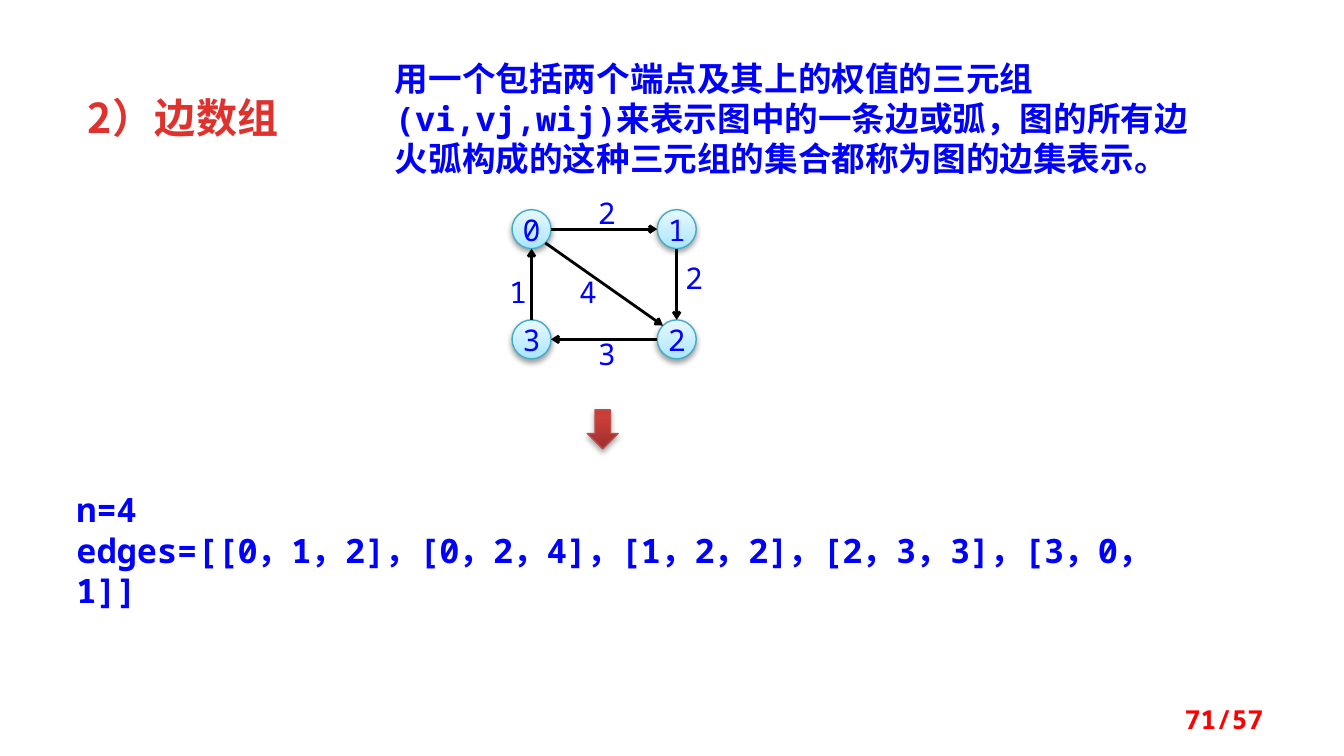
import math

import pptx
import pptx.dml.color
import pptx.enum.shapes
import pptx.enum.text
import pptx.oxml
import pptx.oxml.ns
import pptx.util

Inches, Pt = pptx.util.Inches, pptx.util.Pt
Shape = pptx.enum.shapes.MSO_SHAPE
Anchor = pptx.enum.text.MSO_ANCHOR
Align = pptx.enum.text.PP_ALIGN
NS = pptx.oxml.ns.nsdecls("a")

MONO, CJK = "Noto Sans Mono", "Noto Sans CJK SC"
BLUE = "0000FF"

TITLE = "2）边数组"
DEFINITION = ("用一个包括两个端点及其上的权值的三元组(vi,vj,wij)来表示图中的一条边或弧，"
              "图的所有边火弧构成的这种三元组的集合都称为图的边集表示。")
CODE = ["n=4", "edges=[[0，1，2]，[0，2，4]，[1，2，2]，[2，3，3]，[3，0，1]]"]
PAGE_NUMBER = "71/57"

# left and top corners of the nodes
LEFT, RIGHT, TOP, BOTTOM = 3.81, 4.89, 1.56, 2.38
NODES = [(LEFT, TOP), (RIGHT, TOP), (RIGHT, BOTTOM), (LEFT, BOTTOM)]
DIAMETER = 0.29
# start node, end node, weight, left and top of the weight label
EDGES = [(0, 1, 2, 4.41, 1.48), (0, 2, 4, 4.27, 2.07), (1, 2, 2, 5.06, 1.96),
         (2, 3, 3, 4.41, 2.53), (3, 0, 1, 3.75, 2.07)]

NODE_STYLE = dict(stops=[(0, "A7E6FF"), (35, "C1EDFF"), (100, "E7F8FF")],
                  outline="46AAC5", opacity=38, distance=1.6)
ARROW_STYLE = dict(stops=[(0, "9C2F2D"), (80, "CB3E3A"), (100, "CE3B37")],
                   outline="BF4C48", opacity=35, distance=1.8)


def color(value):
    return pptx.dml.color.RGBColor.from_string(value)


def write(shape, text, size=18, font=MONO, fill=BLUE, bold=False, align=Align.LEFT,
          anchor=Anchor.TOP, leading=None, inset=None, tracking=None):
    frame = shape.text_frame
    frame.word_wrap = True
    frame.vertical_anchor = anchor
    if inset is not None:
        frame.margin_left = frame.margin_right = Inches(inset)
        frame.margin_top = frame.margin_bottom = Inches(inset)
    lines = [text] if isinstance(text, str) else text
    for index, line in enumerate(lines):
        para = frame.add_paragraph() if index else frame.paragraphs[0]
        para.alignment = align
        para._p.get_or_add_pPr().set("hangingPunct", "0")
        if leading:
            para.line_spacing = Pt(leading)
        span = para.add_run()
        span.text = line
        span.font.size, span.font.name, span.font.bold = Pt(size), font, bold
        span.font.color.rgb = color(fill)
        properties = span.font._element
        properties.append(pptx.oxml.parse_xml(f'<a:ea {NS} typeface="{CJK}"/>'))
        if tracking:
            properties.set("spc", str(round(tracking * 100)))


def add_text(page, place, text, **style):
    write(page.shapes.add_textbox(*map(Inches, place)), text, **style)


def add_glossy(shapes, kind, place, stops, outline, opacity, distance):
    """Add a shape with an upward gradient and a soft shadow below it."""
    shape = shapes.add_shape(kind, *map(Inches, place))
    shape.line.color.rgb = color(outline)
    shape.line.width = Pt(0.75)
    shape.fill.gradient()
    shape.fill.gradient_angle = 90
    stop_list = shape._element.spPr.find(".//" + pptx.oxml.ns.qn("a:gsLst"))
    stop_list.clear()
    for position, value in stops:
        stop_list.append(pptx.oxml.parse_xml(
            f'<a:gs {NS} pos="{position * 1000}"><a:srgbClr val="{value}"/></a:gs>'))
    shape._element.spPr.append(pptx.oxml.parse_xml(
        f'<a:effectLst {NS}><a:outerShdw blurRad="{Pt(3.1)}" dist="{Pt(distance)}" '
        f'dir="5400000" rotWithShape="0"><a:srgbClr val="000000">'
        f'<a:alpha val="{opacity * 1000}"/></a:srgbClr></a:outerShdw></a:effectLst>'))
    return shape


def add_edge(shapes, start, end):
    """Draw an arrow between the facing sides of two nodes."""
    radius = DIAMETER / 2
    x1, y1, x2, y2 = (corner + radius for corner in start + end)
    dx, dy = (x2 > x1) - (x2 < x1), (y2 > y1) - (y2 < y1)
    reach = radius / math.hypot(dx, dy)
    ends = (x1 + dx * reach, y1 + dy * reach, x2 - dx * reach, y2 - dy * reach)
    edge = shapes.add_connector(pptx.enum.shapes.MSO_CONNECTOR.STRAIGHT,
                                *map(Inches, ends))
    edge.line.color.rgb = color("000000")
    edge.line.width = Pt(1.5)
    edge.line._get_or_add_ln().append(
        pptx.oxml.parse_xml(f'<a:tailEnd {NS} type="arrow" w="sm" len="sm"/>'))
    edge._element.spPr.append(pptx.oxml.parse_xml(f"<a:effectLst {NS}/>"))


def add_graph(page):
    shapes = page.shapes.add_group_shape().shapes
    label_style = dict(size=16, align=Align.CENTER, leading=17, inset=0)
    for _, _, weight, left, top in EDGES:
        label = shapes.add_shape(Shape.RECTANGLE, *map(Inches, (left, top, 0.21, 0.22)))
        label.shadow.inherit = False
        label.fill.solid()
        label.fill.fore_color.rgb = color("FFFFFF")
        label.line.fill.background()
        write(label, str(weight), **label_style)
    for number, corner in enumerate(NODES):
        node = add_glossy(shapes, Shape.OVAL, (*corner, DIAMETER, DIAMETER), **NODE_STYLE)
        write(node, str(number), **label_style)
    for start, end, *_ in EDGES:
        add_edge(shapes, NODES[start], NODES[end])


def main():
    deck = pptx.Presentation()
    deck.slide_width = Inches(10)
    deck.slide_height = deck.slide_width * 9 // 16
    page = deck.slides.add_slide(deck.slide_layouts[6])
    add_text(page, (0.55, 0.64, 2.11, 0.47), TITLE, size=22, font=CJK,
             fill="E0322D", bold=True, tracking=0.5)
    add_text(page, (0.47, 3.59, 8.52, 0.72), CODE, bold=True, leading=21.6)
    add_glossy(page.shapes, Shape.DOWN_ARROW, (4.37, 3.05, 0.23, 0.29), **ARROW_STYLE)
    add_graph(page)
    add_text(page, (7.17, 5.2, 2.33, 0.3), PAGE_NUMBER, size=14, fill="FF0000",
             bold=True, align=Align.RIGHT, anchor=Anchor.MIDDLE)
    add_text(page, (2.84, 0.38, 6.15, 1.01), DEFINITION, bold=True, leading=21.6)
    deck.save("out.pptx")


if __name__ == "__main__":
    main()
